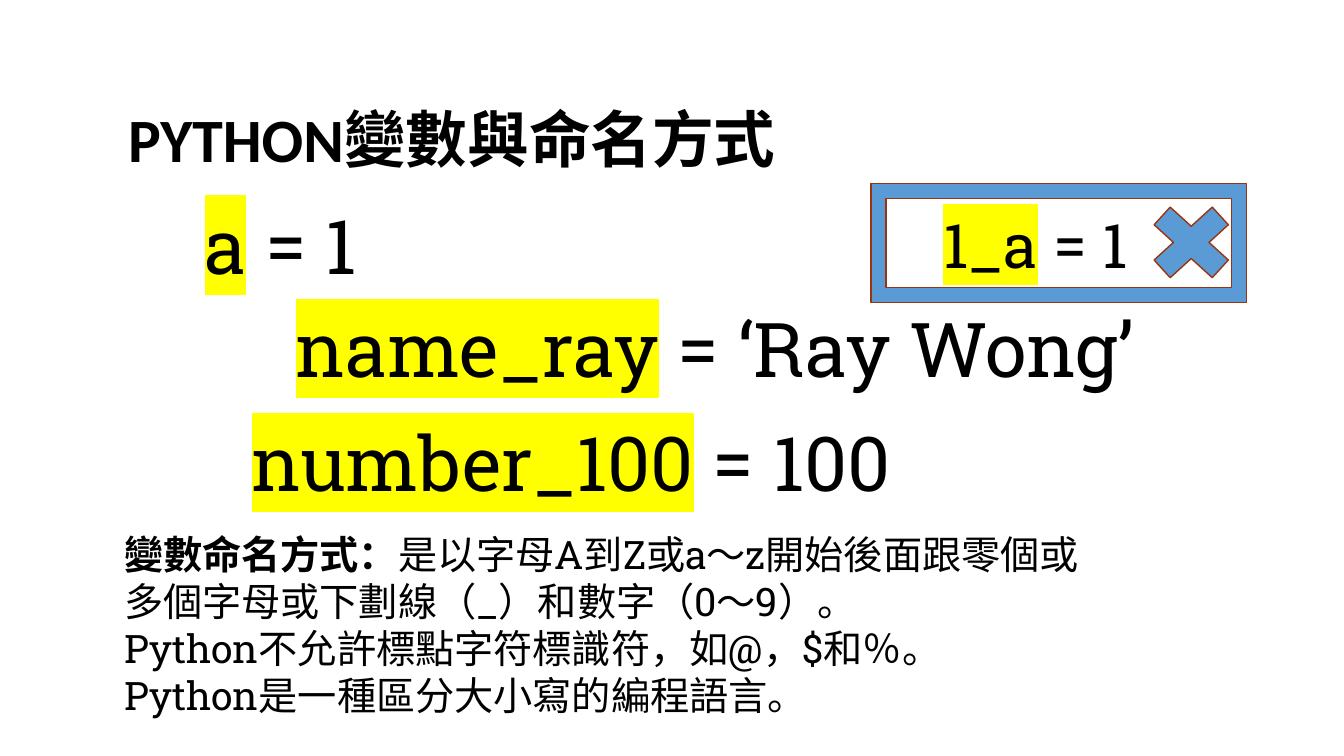
from dataclasses import dataclass

from lxml.etree import SubElement
from pptx import Presentation
from pptx.dml.color import RGBColor
from pptx.enum.shapes import MSO_SHAPE as Preset
from pptx.enum.text import MSO_ANCHOR as Anchor
from pptx.enum.text import MSO_AUTO_SIZE as AutoSize
from pptx.enum.text import PP_ALIGN as Align
from pptx.oxml.ns import qn
from pptx.util import Inches, Pt

CELL = Inches(0.1)  # the slide is a grid of cells, a tenth of an inch each
BLACK, YELLOW, BLUE, BROWN = "000000", "FFFF00", "5B9BD5", "993410"
SLAB = "Roboto Slab"


@dataclass(frozen=True)
class Area:
    column: float
    row: float
    columns: float
    rows: float


@dataclass(frozen=True)
class Assignment:
    variable: str
    value: str
    area: Area
    size: int = 54


@dataclass(frozen=True)
class Mark:
    preset: Preset
    area: Area
    adjustment: float


TITLE_AREA = Area(11.7, 5.3, 110, 17.6)
RULES_AREA = Area(11.3, 52.1, 106.5, 19.9)

ASSIGNMENTS = [
    Assignment("a", "1", Area(11.6, 19.2, 32.5, 10.1)),
    Assignment("name_ray", "‘Ray Wong’", Area(11.4, 29.5, 119, 10.1)),
    Assignment("number_100", "100", Area(11.5, 40.8, 90.3, 10.1)),
    Assignment("1_a", "1", Area(90.3, 20, 24.8, 8.4), 44),
]

MARKS = [
    Mark(Preset.MATH_MULTIPLY, Area(112.6, 19, 11.1, 10.1), 0.235),
    Mark(Preset.FRAME, Area(86.4, 18.2, 37.2, 11.8), 0.125),
]

RULES_HEADING = "變數命名方式："
RULES = [
    "是以字母A到Z或a〜z開始後面跟零個或",
    "多個字母或下劃線（_）和數字（0〜9）。",
    "Python不允許標點字符標識符，如@，$和％。",
    "Python是一種區分大小寫的編程語言。",
]


def color(value: str) -> RGBColor:
    return RGBColor.from_string(value)


def cells(area: Area) -> list[int]:
    lengths = (area.column, area.row, area.columns, area.rows)
    return [round(length * CELL) for length in lengths]


def place(box, area: Area) -> None:
    box.left, box.top, box.width, box.height = cells(area)


def style(span, size: int, font: str = SLAB, bold: bool = False,
          highlight: str = "") -> None:
    span.font.size, span.font.bold = Pt(size), bold
    span.font.color.rgb = color(BLACK)
    if highlight:
        node = SubElement(span.font._element, qn("a:highlight"))
        SubElement(node, qn("a:srgbClr")).set("val", highlight)
    span.font.name = font  # the typeface element follows the highlight


def set_title(title) -> None:
    place(title, TITLE_AREA)
    frame = title.text_frame
    frame.text = "PYTHON變數與命名方式"
    frame.auto_size, frame.vertical_anchor = AutoSize.NONE, Anchor.MIDDLE
    para = frame.paragraphs[0]
    para.alignment, para.line_spacing = Align.LEFT, 0.9
    style(para.runs[0], 44, "Calibri", bold=True)


def set_rules(body) -> None:
    place(body, RULES_AREA)
    frame = body.text_frame
    frame.text = "\n".join([RULES_HEADING, *RULES[1:]])
    frame.auto_size = AutoSize.NONE
    frame.paragraphs[0].add_run().text = RULES[0]
    for para in frame.paragraphs:
        para.space_before = Pt(0)
        properties = para._p.get_or_add_pPr()
        properties.set("marL", "0")
        properties.set("indent", "0")
        SubElement(properties, qn("a:buNone"))
        for span in para.runs:
            style(span, 28, bold=span.text == RULES_HEADING)


def add_assignment(page, item: Assignment) -> None:
    box = page.shapes.add_textbox(*cells(item.area))
    frame = box.text_frame
    frame.word_wrap = True
    para = frame.paragraphs[0]
    para.text = item.variable
    para.alignment = Align.CENTER
    style(para.runs[0], item.size, highlight=YELLOW)
    value = para.add_run()
    value.text = f" = {item.value}"
    style(value, item.size)


def add_mark(page, mark: Mark) -> None:
    shape = page.shapes.add_shape(mark.preset, *cells(mark.area))
    shape.adjustments[0] = mark.adjustment
    shape.shadow.inherit = False
    shape.fill.solid()
    shape.fill.fore_color.rgb = color(BLUE)
    shape.line.color.rgb = color(BROWN)
    shape.line.width = Pt(1)


def main() -> None:
    deck = Presentation()
    deck.slide_width, deck.slide_height = Inches(13.33), Inches(7.5)
    page = deck.slides.add_slide(deck.slide_layouts[1])

    # Title and naming rules
    set_title(page.shapes.title)
    set_rules(page.placeholders[1])

    # Sample assignments
    for item in ASSIGNMENTS:
        add_assignment(page, item)

    # Cross and frame around the invalid name
    for mark in MARKS:
        add_mark(page, mark)

    deck.save("out.pptx")


if __name__ == "__main__":
    main()
